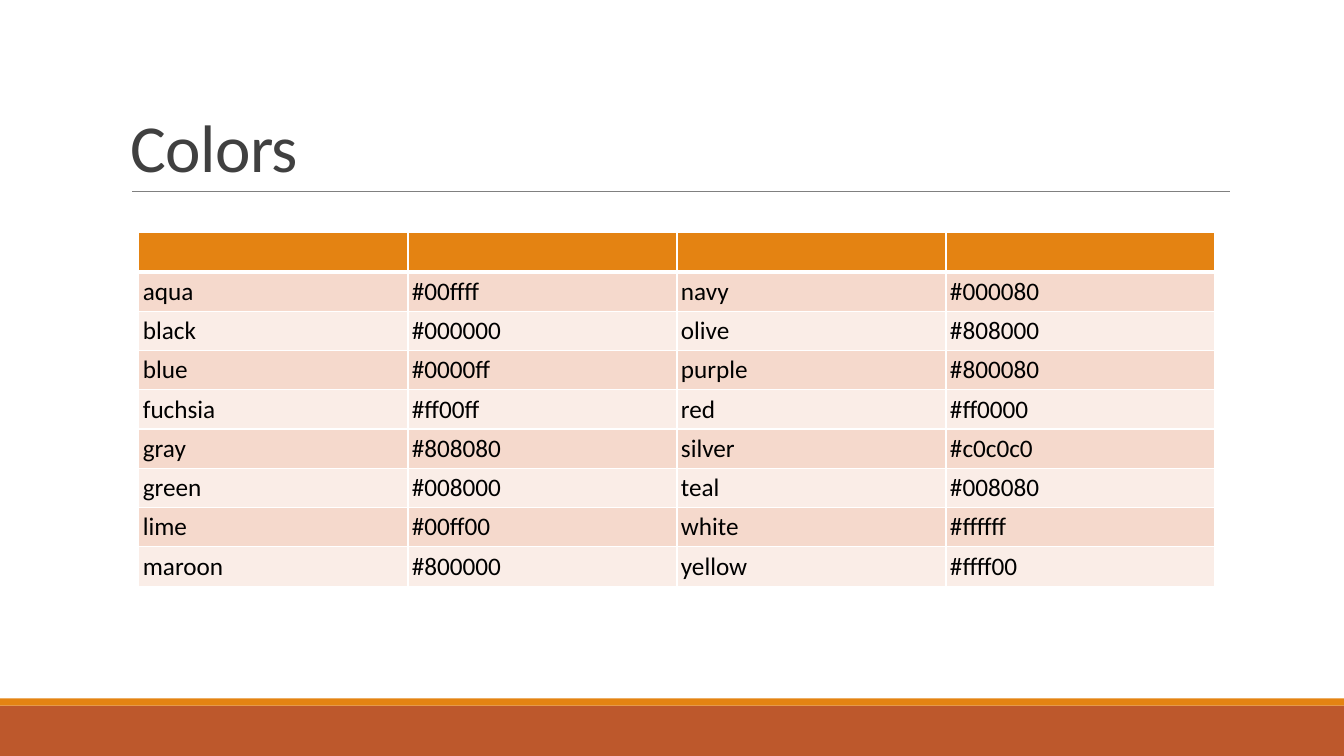
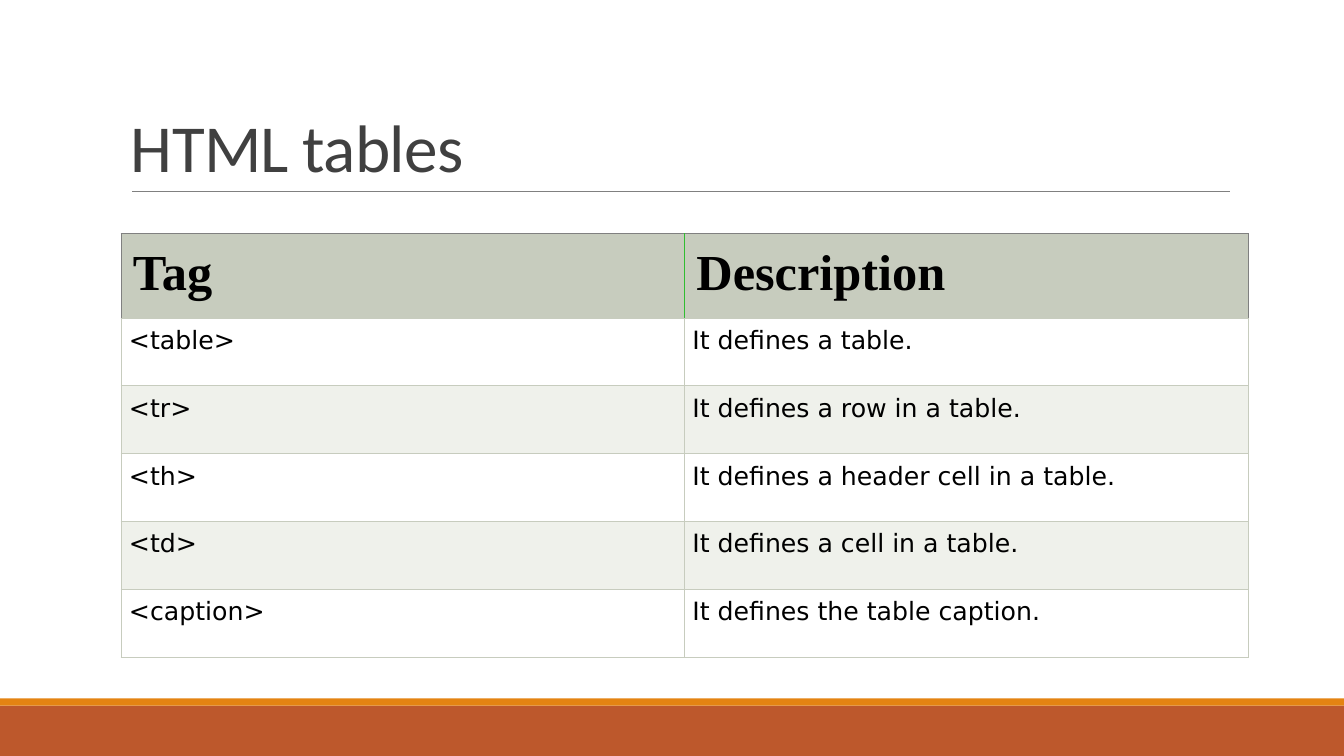
from lxml.etree import SubElement
from pptx import Presentation
from pptx.dml.color import RGBColor
from pptx.enum.shapes import MSO_CONNECTOR, MSO_SHAPE
from pptx.enum.text import MSO_ANCHOR, PP_ALIGN
from pptx.oxml.ns import qn
from pptx.util import Cm, Pt

# Content
COLOR_ROWS = [
    ("", "", "", ""),
    ("aqua", "#00ffff", "navy", "#000080"),
    ("black", "#000000", "olive", "#808000"),
    ("blue", "#0000ff", "purple", "#800080"),
    ("fuchsia", "#ff00ff", "red", "#ff0000"),
    ("gray", "#808080", "silver", "#c0c0c0"),
    ("green", "#008000", "teal", "#008080"),
    ("lime", "#00ff00", "white", "#ffffff"),
    ("maroon", "#800000", "yellow", "#ffff00"),
]
TAG_ROWS = [
    ("Tag", "Description"),
    ("<table>", "It defines a table."),
    ("<tr>", "It defines a row in a table."),
    ("<th>", "It defines a header cell in a table."),
    ("<td>", "It defines a cell in a table."),
    ("<caption>", "It defines the table caption."),
]

# Colours
WHITE = RGBColor(0xFF, 0xFF, 0xFF)
BLACK = RGBColor(0x00, 0x00, 0x00)
TITLE_GRAY = RGBColor(0x40, 0x40, 0x40)
RULE_GRAY = RGBColor(0x80, 0x80, 0x80)
RUST = RGBColor(0xBD, 0x58, 0x2C)
ORANGE = RGBColor(0xE4, 0x83, 0x12)
PEACH = RGBColor(0xF5, 0xD9, 0xCC)
PALE_PEACH = RGBColor(0xFA, 0xED, 0xE7)
SAGE = RGBColor(0xC7, 0xCC, 0xBE)
PALE_SAGE = RGBColor(0xEF, 0xF1, 0xEB)
GREEN = RGBColor(0x30, 0xBD, 0x31)

SLIDE_WIDTH, SLIDE_HEIGHT = Cm(33.87), Cm(19.05)
BANDS = [(Cm(17.78), Cm(1.27), RUST), (Cm(17.6), Cm(0.18), ORANGE)]

# Table looks: text style is (font, size, bold, alignment, anchor, inset)
COLOR_LOOK = {
    "header_text": ("Calibri", 18, True, PP_ALIGN.LEFT, MSO_ANCHOR.MIDDLE, Cm(0.1)),
    "body_text": ("Calibri", 18, False, PP_ALIGN.LEFT, MSO_ANCHOR.MIDDLE, Cm(0.1)),
    "header_fill": ORANGE,
    "body_fills": (PEACH, PALE_PEACH),
    "border": (WHITE, 1),
    "header_outer": (WHITE, 1),
    "header_inner": (WHITE, 1),
    "header_bottom": (WHITE, 3),
}
TAG_LOOK = {
    "header_text": ("Times New Roman", 36, True, PP_ALIGN.LEFT, MSO_ANCHOR.TOP, Cm(0.3)),
    "body_text": ("DejaVu Sans", 18, False, PP_ALIGN.JUSTIFY, MSO_ANCHOR.TOP, Cm(0.2)),
    "header_fill": SAGE,
    "body_fills": (WHITE, PALE_SAGE),
    "border": (SAGE, 0.75),
    "header_outer": (RULE_GRAY, 0.75),
    "header_inner": (GREEN, 0.75),
    "header_bottom": (SAGE, 0.75),
}


def add_titled_slide(presentation, title):
    """Blank slide with the shared bands, rule and title."""
    slide = presentation.slides.add_slide(presentation.slide_layouts[6])
    for top, height, color in BANDS:
        band = slide.shapes.add_shape(MSO_SHAPE.RECTANGLE, 0, top, SLIDE_WIDTH, height)
        band.shadow.inherit = False
        band.fill.solid()
        band.fill.fore_color.rgb = color
        band.line.fill.background()

    rule = slide.shapes.add_connector(
        MSO_CONNECTOR.STRAIGHT, Cm(3.33), Cm(4.82), Cm(31), Cm(4.82))
    rule.line.color.rgb = RULE_GRAY
    rule.line.width = Pt(0.5)
    SubElement(rule._element.spPr, qn("a:effectLst"))

    box = slide.shapes.add_textbox(Cm(3.05), Cm(0.79), Cm(27.94), Cm(4.04))
    frame = box.text_frame
    frame.word_wrap = True
    frame.vertical_anchor = MSO_ANCHOR.BOTTOM
    paragraph = frame.paragraphs[0]
    paragraph.line_spacing = 0.85
    paragraph.font.name = "Calibri"
    paragraph.font.size = Pt(48)
    paragraph.font.color.rgb = TITLE_GRAY
    run = paragraph.add_run()
    run.text = title
    run._r.get_or_add_rPr().set("spc", "-50")
    return slide


def set_borders(cell, left, right, top, bottom):
    properties = cell._tc.get_or_add_tcPr()
    sides = {"a:lnL": left, "a:lnR": right, "a:lnT": top, "a:lnB": bottom}
    for tag, (color, width) in sides.items():
        line = SubElement(properties, qn(tag), w=str(Pt(width)))
        fill = SubElement(line, qn("a:solidFill"))
        SubElement(fill, qn("a:srgbClr"), val=str(color))


def write_cell(cell, text, style, fill):
    font_name, size, bold, alignment, anchor, inset = style
    cell.fill.solid()
    cell.fill.fore_color.rgb = fill
    cell.vertical_anchor = anchor
    cell.margin_left = cell.margin_right = inset
    cell.margin_top = cell.margin_bottom = inset
    cell.text = text
    paragraph = cell.text_frame.paragraphs[0]
    paragraph.alignment = alignment
    paragraph.font.name = font_name
    paragraph.font.size = Pt(size)
    paragraph.font.bold = bold
    paragraph.font.color.rgb = BLACK


def add_styled_table(slide, rows, look, left, top, column_width, header_height, row_height):
    column_count = len(rows[0])
    table = slide.shapes.add_table(
        len(rows), column_count, left, top, column_width * column_count,
        header_height + row_height * (len(rows) - 1)).table
    table.first_row = table.horz_banding = False
    for column in table.columns:
        column.width = column_width

    border = look["border"]
    outer, inner = look["header_outer"], look["header_inner"]
    for row_index, texts in enumerate(rows):
        is_header = row_index == 0
        table.rows[row_index].height = header_height if is_header else row_height
        for column_index, text in enumerate(texts):
            cell = table.cell(row_index, column_index)
            if is_header:
                set_borders(cell,
                            outer if column_index == 0 else inner,
                            outer if column_index == column_count - 1 else inner,
                            outer, look["header_bottom"])
                write_cell(cell, text, look["header_text"], look["header_fill"])
            else:
                above = look["header_bottom"] if row_index == 1 else border
                set_borders(cell, border, border, above, border)
                write_cell(cell, text, look["body_text"],
                           look["body_fills"][(row_index - 1) % 2])


def main():
    presentation = Presentation()
    presentation.slide_width, presentation.slide_height = SLIDE_WIDTH, SLIDE_HEIGHT

    # Named colours
    slide = add_titled_slide(presentation, "Colors")
    add_styled_table(slide, COLOR_ROWS, COLOR_LOOK,
                     Cm(3.5), Cm(5.85), Cm(6.78), Cm(1), Cm(0.99))

    # Table tags
    slide = add_titled_slide(presentation, "HTML tables")
    add_styled_table(slide, TAG_ROWS, TAG_LOOK,
                     Cm(3.05), Cm(5.89), Cm(14.2), Cm(2.04), Cm(1.71))

    presentation.save("out.pptx")


if __name__ == "__main__":
    main()
